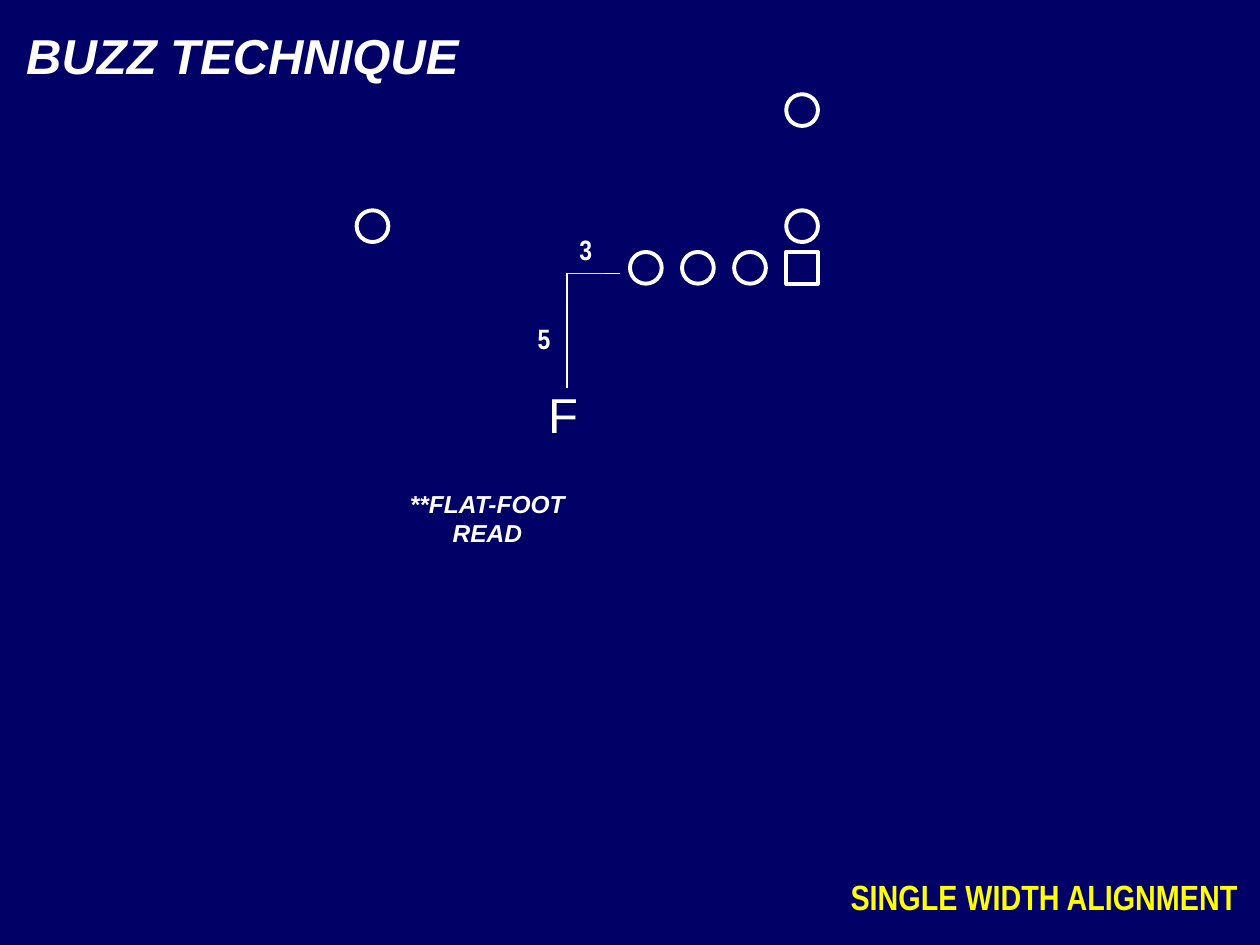
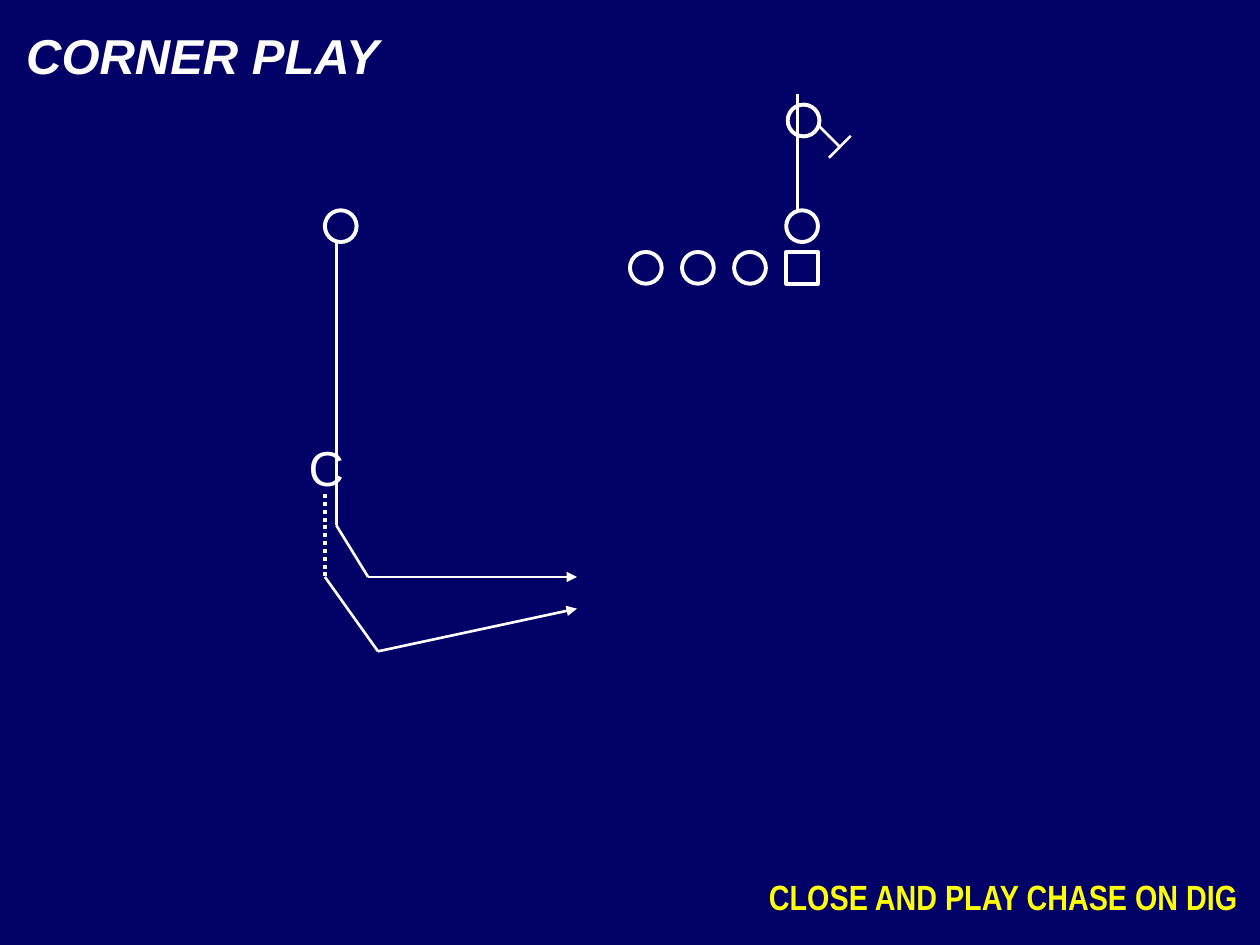
from itertools import pairwise

from lxml import etree
from pptx import Presentation
from pptx import util as u
from pptx.dml.color import RGBColor
from pptx.enum import dml, shapes, text
from pptx.oxml import ns

FIELD, CHALK, CUE = "000066", "FFFFFF", "FFFF00"
PLAYER = 0.64
LINE_TOP, BACKFIELD_TOP = 5.08, 4.24
LINE_LEFT, LINE_STEP = 12.7, 1.05
CENTER_LEFT = LINE_LEFT + 3 * LINE_STEP
CIRCLE = shapes.MSO_SHAPE.OVAL
SQUARE = shapes.MSO_SHAPE.RECTANGLE


def color(value):
    return RGBColor.from_string(value)


def add_text_shadow(run):
    """Insert the shadow right after the run's fill, as the schema demands."""
    effects = etree.Element(ns.qn("a:effectLst"))
    shadow = etree.SubElement(effects, ns.qn("a:outerShdw"),
                              dist="25400", dir="2700000", algn="tl")
    etree.SubElement(shadow, ns.qn("a:srgbClr"), val="000000")
    run.font.fill._xPr.find(ns.qn("a:solidFill")).addnext(effects)


class Playbook:
    def __init__(self):
        self.deck = Presentation()
        self.deck.slide_width, self.deck.slide_height = u.Cm(25.4), u.Cm(19.05)
        self.slide = None

    def page(self, title, cue, cue_left):
        """Start a slide with its title, bottom cue and offensive line."""
        self.slide = self.deck.slides.add_slide(self.deck.slide_layouts[6])
        background = self.slide.background.fill
        background.solid()
        background.fore_color.rgb = color(FIELD)
        self.label(title, 0.28, 0.38, 10.92, 1.45, size=28, bold=True,
                   italic=True, shadow=True)
        self.label(cue, cue_left, 17.53, 25.2 - cue_left, 1.12, size=20,
                   font="Arial Narrow", ink=CUE, bold=True,
                   align=text.PP_ALIGN.RIGHT)
        for spot in range(3):
            self.player(LINE_LEFT + spot * LINE_STEP, LINE_TOP)
        self.player(CENTER_LEFT, LINE_TOP, SQUARE)
        self.player(CENTER_LEFT, BACKFIELD_TOP)

    def player(self, left, top, outline=CIRCLE):
        marker = self.slide.shapes.add_shape(
            outline, u.Cm(left), u.Cm(top), u.Cm(PLAYER), u.Cm(PLAYER))
        marker.shadow.inherit = False
        marker.fill.solid()
        marker.fill.fore_color.rgb = color(FIELD)
        marker.line.color.rgb = color(CHALK)
        marker.line.width = u.Pt(2.25)

    def label(self, words, left, top, width, height, *, size, font="Arial",
              ink=CHALK, bold=False, italic=False, shadow=False, wrap=True,
              fill=None, align=text.PP_ALIGN.LEFT):
        box = self.slide.shapes.add_textbox(
            u.Cm(left), u.Cm(top), u.Cm(width), u.Cm(height))
        if fill:
            box.fill.solid()
            box.fill.fore_color.rgb = color(fill)
        frame = box.text_frame
        frame.word_wrap = wrap
        frame.auto_size = text.MSO_AUTO_SIZE.SHAPE_TO_FIT_TEXT
        frame.text = words
        for paragraph in frame.paragraphs:
            paragraph.alignment = align
            run = paragraph.runs[0]
            run.font.name, run.font.size = font, u.Pt(size)
            run.font.bold, run.font.italic = bold, italic
            run.font.color.rgb = color(ink)
            if shadow:
                add_text_shadow(run)

    def defender(self, letter, left, top, width):
        self.label(letter, left, top, width, 1.45, size=28, wrap=False, fill=FIELD)

    def distance(self, yards, left, top):
        self.label(yards, left, top, 0.76, 0.94, size=16, font="Arial Narrow",
                   bold=True, wrap=False, fill=FIELD)

    def route(self, *points, weight=1.5, dash=None, arrow=False):
        """Draw straight legs through the points, with an optional final arrow."""
        for (x1, y1), (x2, y2) in pairwise(points):
            leg = self.slide.shapes.add_connector(
                shapes.MSO_CONNECTOR.STRAIGHT,
                u.Cm(x1), u.Cm(y1), u.Cm(x2), u.Cm(y2))
            leg.line.color.rgb = color(CHALK)
            leg.line.width = u.Pt(weight)
            if dash:
                leg.line.dash_style = dash
            properties = leg._element.spPr
            etree.SubElement(properties, ns.qn("a:effectLst"))
        if arrow:
            etree.SubElement(properties.find(ns.qn("a:ln")),
                             ns.qn("a:tailEnd"), type="triangle")


def buzz_technique(book):
    book.page("BUZZ TECHNIQUE", "SINGLE WIDTH ALIGNMENT", 13.34)
    book.player(CENTER_LEFT, 1.9)
    book.player(7.19, BACKFIELD_TOP)
    book.defender("F", 10.8, 7.62, 1.12)
    book.route((12.5, 5.51), (11.43, 5.51), (11.43, 7.82), weight=0.75)
    book.distance("5", 10.59, 6.35)
    book.distance("3", 11.43, 4.57)
    book.label("**FLAT-FOOT\nREAD", 7.82, 9.73, 4.01, 1.45, size=14, bold=True,
               italic=True, shadow=True, align=text.PP_ALIGN.CENTER)


def corner_play(book):
    book.page("CORNER PLAY", "CLOSE AND PLAY CHASE ON DIG", 0)
    book.defender("C", 5.97, 8.69, 1.22)
    book.player(6.55, BACKFIELD_TOP)
    book.player(15.88, 2.11)
    quarterback_drop = (16.08, 4.24), (16.08, 1.9)
    back_step = (16.51, 2.54), (16.94, 2.97)
    back_block = (16.71, 3.18), (17.15, 2.74)
    for move in (quarterback_drop, back_step, back_block):
        book.route(*move)
    book.route((6.78, 4.88), (6.78, 10.59), (7.42, 11.63), (11.63, 11.63),
               arrow=True)
    chase_start = (6.55, 11.63)
    book.route((6.55, 9.96), chase_start, weight=2.25,
               dash=dml.MSO_LINE.ROUND_DOT)
    book.route(chase_start, (7.62, 13.13), (11.63, 12.27), arrow=True)


def main():
    book = Playbook()
    buzz_technique(book)
    corner_play(book)
    book.deck.save("out.pptx")


if __name__ == "__main__":
    main()
